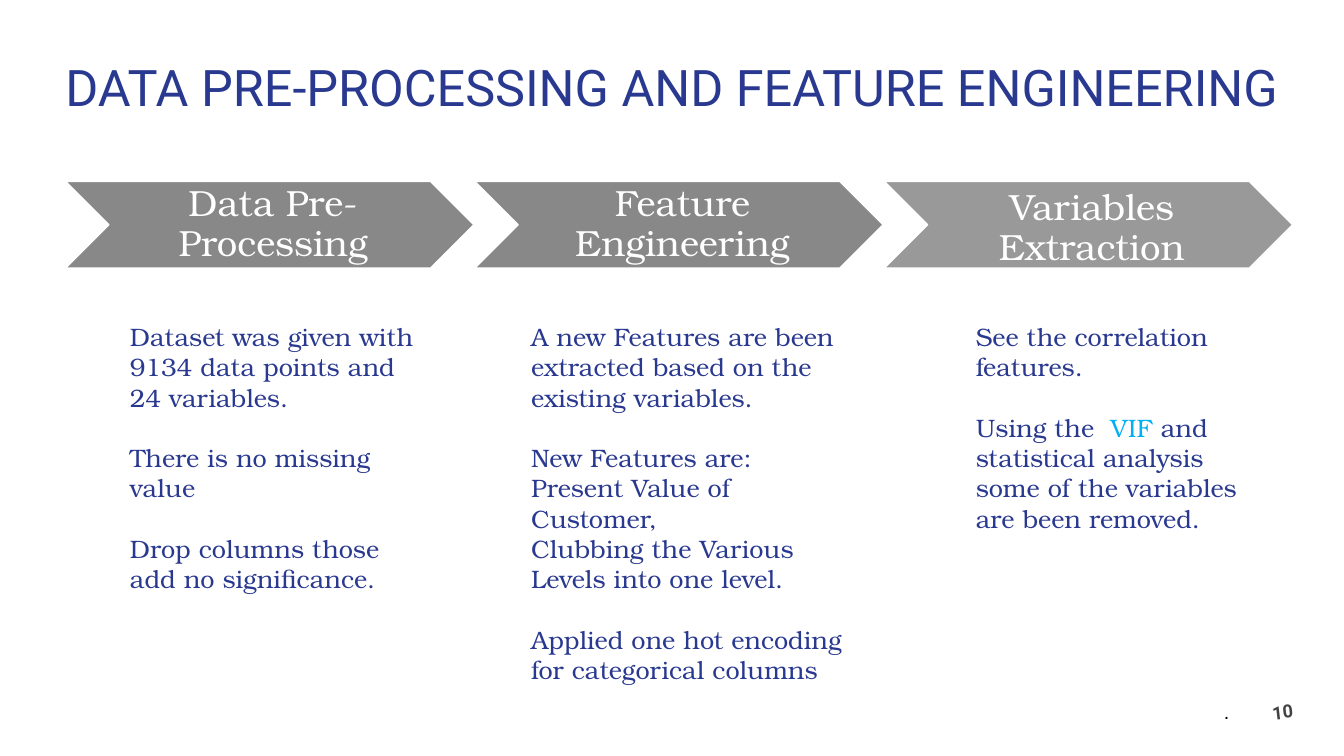
from dataclasses import dataclass
from pptx import Presentation
from pptx.dml.color import RGBColor
from pptx.enum.shapes import MSO_SHAPE
from pptx.enum.text import MSO_ANCHOR, PP_ALIGN
from pptx.util import Inches, Pt


@dataclass(frozen=True)
class Theme:
    navy: str = "2A3990"
    sky: str = "00B0F0"
    white: str = "FFFFFF"
    black: str = "000000"
    dark: str = "434343"
    gray: str = "888888"
    light: str = "999999"
    sans: str = "Roboto"
    serif: str = "TeX Gyre Bonum"
    plain: str = "Arial"
    title: int = 36
    step: int = 26
    body: int = 18
    dot: int = 14
    page: int = 13
    gap: float = 21.6


THEME = Theme()

STEPS = [
    ("Data Pre-Processing", THEME.gray, 0),
    ("Feature Engineering", THEME.gray, 0),
    ("Variables Extraction", THEME.light, 0.04),
]

NOTES = [
    (1.19, 3.17, 2.52, [
        ["Dataset was given with 9134 data points and 24 variables."],
        ["There is no missing value"],
        ["Drop columns those add no significance."],
    ]),
    (5.17, 3.32, 3.43, [
        ["A new Features are been extracted based on the existing variables."],
        ["New Features are:", "Present Value of Customer,",
         "Clubbing the Various Levels into one level."],
        ["Applied one hot encoding for categorical columns"],
    ]),
    (9.58, 3.17, 2.22, [
        ["See the correlation features."],
        ["Using the  VIF and statistical analysis some of the variables "
         "are been removed."],
    ]),
]
TERM = "VIF"


def style(run, font, size, color, bold=False):
    run.font.name = font
    run.font.size = Pt(size)
    run.font.color.rgb = RGBColor.from_string(color)
    run.font.bold = bold


def add_box(slide, left, top, width, height, anchor=MSO_ANCHOR.MIDDLE):
    box = slide.shapes.add_textbox(*map(Inches, (left, top, width, height)))
    box.text_frame.word_wrap = True
    box.text_frame.vertical_anchor = anchor
    return box


def add_label(slide, area, text, align, font, size, color, bold=False):
    box = add_box(slide, *area)
    line = box.text_frame.paragraphs[0]
    line.text = text
    line.alignment = align
    style(line.runs[0], font, size, color, bold)
    return box


def add_step(slide, left, text, color, drop):
    shape = slide.shapes.add_shape(
        MSO_SHAPE.CHEVRON, *map(Inches, (left, 1.8, 4.05, 0.86)))
    shape.adjustments[0] = 0.5
    shape.shadow.inherit = False
    shape.fill.solid()
    shape.fill.fore_color.rgb = RGBColor.from_string(color)
    shape.line.color.rgb = RGBColor.from_string(THEME.white)
    shape.line.width = Pt(1)
    frame = shape.text_frame
    frame.text = text
    frame.word_wrap = True
    frame.vertical_anchor = MSO_ANCHOR.MIDDLE
    frame.margin_left = Inches(0.11)
    frame.margin_right = Inches(0.04)
    frame.margin_top = Inches(0.04 + drop)
    frame.margin_bottom = Inches(0.04 - drop)
    line = frame.paragraphs[0]
    line.alignment = PP_ALIGN.CENTER
    line.line_spacing = 0.9
    style(line.runs[0], THEME.serif, THEME.step, THEME.white)


def add_notes(slide, left, width, height, groups):
    frame = add_box(slide, left, 3.14, width, height,
                    MSO_ANCHOR.TOP).text_frame
    for group, lines in enumerate(groups):
        for index, text in enumerate(lines):
            first = group == index == 0
            line = frame.paragraphs[0] if first else frame.add_paragraph()
            if group and index == 0:
                line.space_before = Pt(THEME.gap)
            for part in filter(None, text.partition(TERM)):
                run = line.add_run()
                run.text = part
                color = THEME.sky if part == TERM else THEME.navy
                style(run, THEME.serif, THEME.body, color)


def main():
    deck = Presentation()
    deck.slide_width = Inches(13.33)
    deck.slide_height = Inches(7.5)
    slide = deck.slides.add_slide(deck.slide_layouts[6])

    title = add_label(slide, (0, 0.4, 13.33, 1),
                      "DATA PRE-PROCESSING AND FEATURE ENGINEERING",
                      PP_ALIGN.CENTER, THEME.sans, THEME.title, THEME.navy)
    title.text_frame.paragraphs[0].line_spacing = 0.9

    for index, step in enumerate(STEPS):
        add_step(slide, 0.65 + index * 4.06, *step)
    for note in NOTES:
        add_notes(slide, *note)

    add_label(slide, (8.71, 6.86, 3.58, 0.4), ".", PP_ALIGN.RIGHT,
              THEME.plain, THEME.dot, THEME.black)
    page = add_label(slide, (12.37, 6.86, 0.7, 0.4), "10", PP_ALIGN.CENTER,
                     THEME.sans, THEME.page, THEME.dark, True)
    page.rotation = 353.2

    deck.save("out.pptx")


main()
